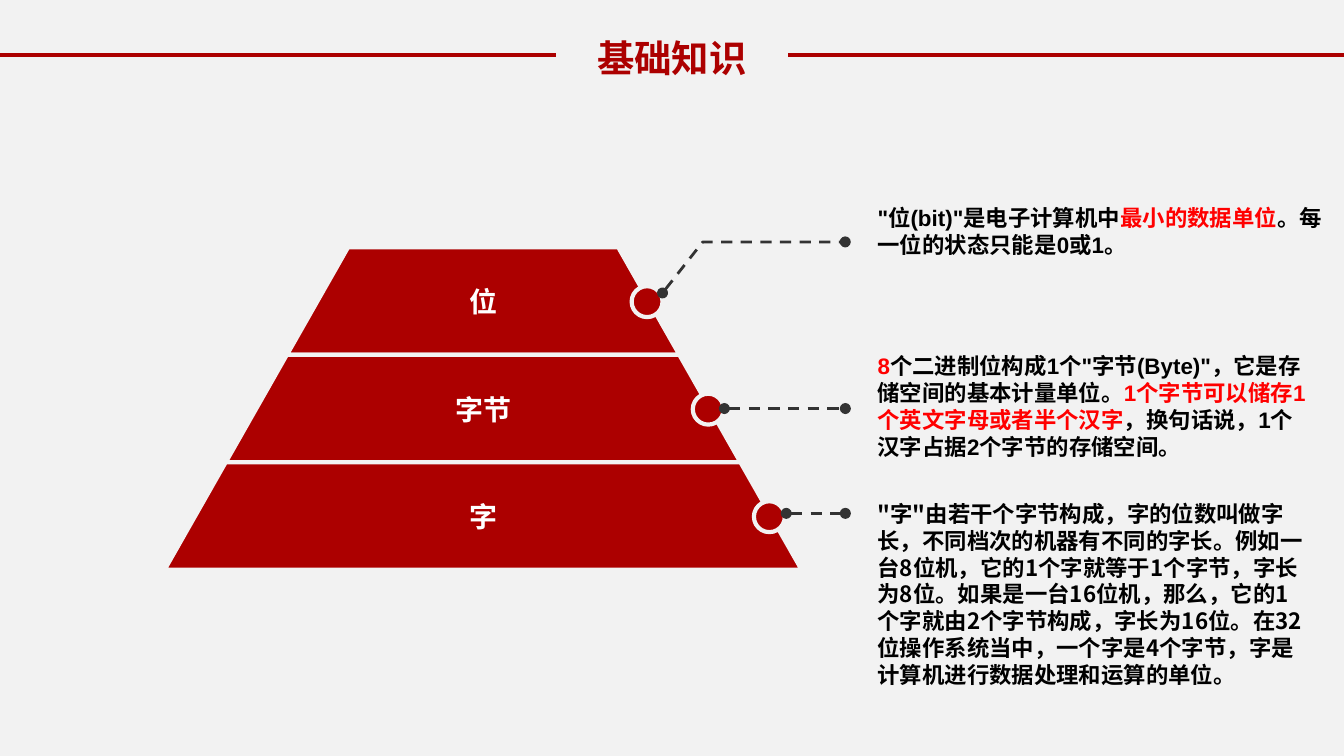
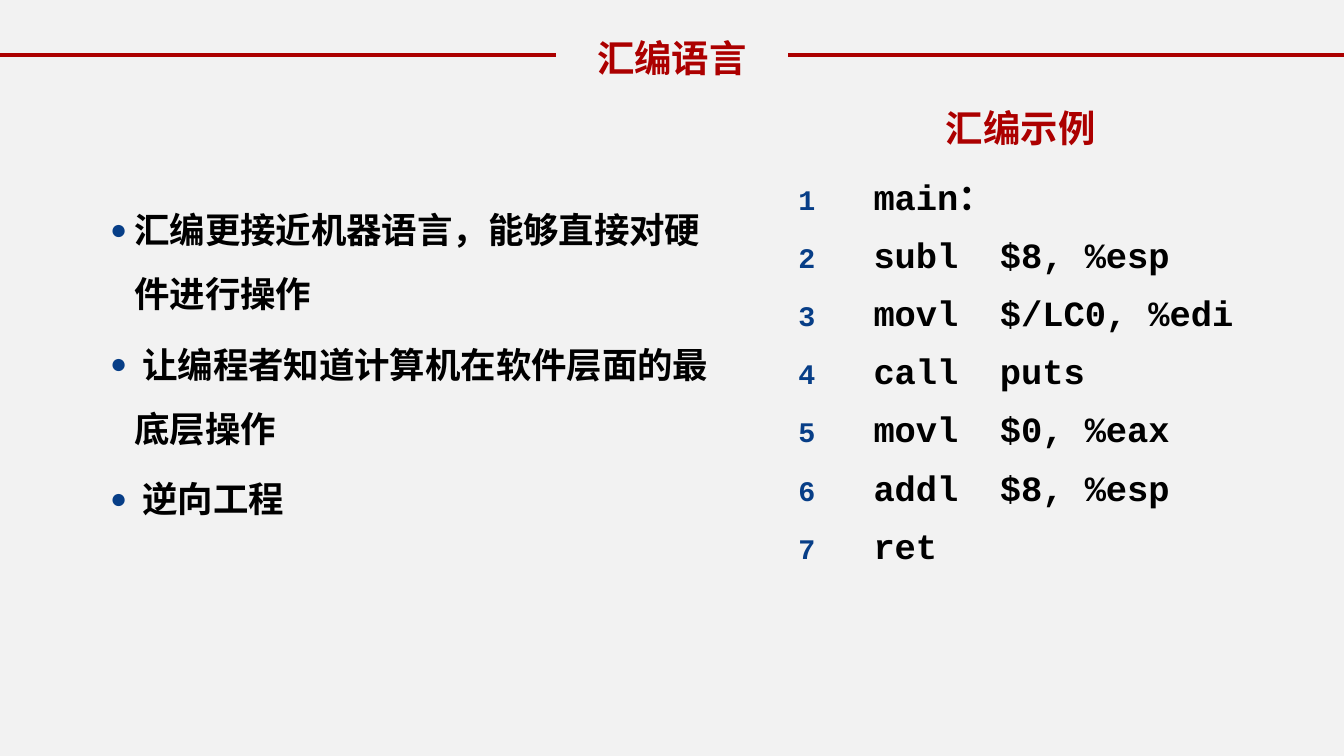
"""Build two slides on data units and assembly language."""
from lxml.etree import SubElement
from pptx import Presentation
from pptx.dml.color import RGBColor
from pptx.enum.dml import MSO_LINE
from pptx.enum.shapes import MSO_CONNECTOR, MSO_SHAPE
from pptx.enum.text import MSO_ANCHOR, MSO_AUTO_SIZE, PP_ALIGN
from pptx.oxml.ns import qn
from pptx.util import Inches, Pt

rgb = RGBColor.from_string
W = 10
H = W * 9 / 16
RED, PAPER, GREY, BLUE = "AC0000", "F2F2F2", "333333", "073E87"
BLACK, WHITE, ACCENT = "000000", "FFFFFF", "FF0000"
CJK = "Noto Sans CJK SC"
HEADING = dict(size=Pt(20), bold=True, name=CJK)
LABEL = dict(size=Pt(15), bold=True, name=CJK)
NOTE = dict(size=Pt(12), bold=True, name="Arial")
POINT = dict(size=Pt(19), bold=True, name="Roboto")
CODE = dict(POINT, name="Courier New")


def write(sp, at, paragraphs, font, ins=(0.1, 0.05), align=None, grow=True):
    for side, value in zip(("left", "top", "width", "height"), at):
        setattr(sp, side, Inches(value))
    tf = sp.text_frame
    frame = dict(word_wrap=True, vertical_anchor=MSO_ANCHOR.TOP,
                 auto_size=MSO_AUTO_SIZE.SHAPE_TO_FIT_TEXT if grow else MSO_AUTO_SIZE.NONE,
                 margin_left=Inches(ins[0]), margin_right=Inches(ins[0]),
                 margin_top=Inches(ins[1]), margin_bottom=Inches(ins[1]))
    for key, value in frame.items():
        setattr(tf, key, value)
    for i, runs in enumerate(paragraphs):
        p = tf.add_paragraph() if i else tf.paragraphs[0]
        p.alignment = align
        p._p.get_or_add_pPr().set("hangingPunct", "0")
        for text, color in runs:
            r = p.add_run()
            r.text = text
            r.font.color.rgb = rgb(color)
            for key, value in font.items():
                setattr(r.font, key, value)
            SubElement(r.font._element, qn("a:ea"), typeface=CJK)
    return tf


def stroke(sp, color, width, leader=False):
    sp.line.color.rgb = rgb(color)
    sp.line.width = Pt(width)
    if leader:
        sp.line.dash_style = MSO_LINE.DASH
        for end in ("a:headEnd", "a:tailEnd"):
            SubElement(sp.line._ln, qn(end), type="oval")
    SubElement(sp._element.spPr, qn("a:effectLst"))


prs = Presentation()
prs.slide_width, prs.slide_height = Inches(W), Inches(H)

title_w = 0.173 * W
title_x = (W - title_w) / 2
for title in ("基础知识", "汇编语言"):
    s = prs.slides.add_slide(prs.slide_layouts[5])
    s.background.fill.solid()
    s.background.fill.fore_color.rgb = rgb(PAPER)
    for x in (0, W - title_x):
        rule = s.shapes.add_connector(MSO_CONNECTOR.STRAIGHT, Inches(x), Inches(0.41),
                                      Inches(x + title_x), Inches(0.41))
        stroke(rule, RED, 2)
    write(s.shapes.title, (title_x, 0.21, title_w, 0.44), [[(title, RED)]],
          HEADING, align=PP_ALIGN.CENTER)
units, assembly = prs.slides

top, row, step = 1.84, 0.8, 0.455
left, right = 2.59, 4.6
label_w = 2.35
for i, unit in enumerate(("位", "字节", "字")):
    y, x1, x2 = top + i * row, left - i * step, right + i * step
    corners = [(x1, y), (x2, y), (x2 + step, y + row), (x1 - step, y + row)]
    points = [(Inches(x), Inches(v)) for x, v in corners]
    fb = units.shapes.build_freeform(*points[0], scale=1)
    fb.add_line_segments(points[1:], close=True)
    layer = fb.convert_to_shape()
    knob = units.shapes.add_shape(MSO_SHAPE.OVAL, Inches(x2 + 0.1), Inches(y + 0.29),
                                  Inches(0.23), Inches(0.23))
    for sp in (layer, knob):
        sp.fill.solid()
        sp.fill.fore_color.rgb = rgb(RED)
        stroke(sp, PAPER, 2.25)
    write(units.shapes.add_textbox(0, 0, 0, 0),
          ((left + right - label_w) / 2, y + 0.25, label_w, 0.3),
          [[(unit, WHITE)]], LABEL, (0.05, 0.03), PP_ALIGN.CENTER)

leader_x, note_x = 6.29, 6.46
bend = [(Inches(x), Inches(y)) for x, y in ((4.93, 2.18), (5.23, 1.8), (leader_x, 1.8))]
fb = units.shapes.build_freeform(*bend[0], scale=1)
fb.add_line_segments(bend[1:], close=False)
sp = fb.convert_to_shape()
sp.fill.background()
stroke(sp, GREY, 1.5, leader=True)
for x, y in ((5.39, 3.04), (5.85, 3.82)):
    sp = units.shapes.add_connector(MSO_CONNECTOR.STRAIGHT, Inches(x), Inches(y),
                                    Inches(leader_x), Inches(y))
    stroke(sp, GREY, 1.5, leader=True)

notes = [
    (1.48, 3.5, 0.48, NOTE, [
        ('"位(bit)"是电子计算机中', BLACK), ("最小的数据单位", ACCENT),
        ("。每一位的状态只能是0或1。", BLACK)]),
    (2.58, 3.34, 0.88, NOTE, [
        ("8", ACCENT),
        ('个二进制位构成1个"字节(Byte)"，它是存储空间的基本计量单位。', BLACK),
        ("1个字节可以储存1个英文字母或者半个汉字", ACCENT),
        ("，换句话说，1个汉字占据2个字节的存储空间。", BLACK)]),
    (3.68, 3.34, 1.49, dict(NOTE, name=CJK), [
        ('"字"由若干个字节构成，字的位数叫做字长，不同档次的机器有不同的字长。'
         "例如一台8位机，它的1个字就等于1个字节，字长为8位。"
         "如果是一台16位机，那么，它的1个字就由2个字节构成，字长为16位。"
         "在32位操作系统当中，一个字是4个字节，字是计算机进行数据处理和运算的单位。", BLACK)]),
]
for y, w, h, font, runs in notes:
    write(units.shapes.add_textbox(0, 0, 0, 0), (note_x, y, w, h), [runs], font, (0.07, 0.04))

write(assembly.shapes.add_textbox(0, 0, 0, 0), (6.73, 0.73, title_w, 0.44),
      [[("汇编示例", RED)]], HEADING, align=PP_ALIGN.CENTER)
code = ["main：", "subl\t$8, %esp", "movl\t$/LC0, %edi", "call\tputs",
        "movl\t$0, %eax", "addl\t$8, %esp", "ret"]
points = ["汇编更接近机器语言，能够直接对硬件进行操作",
          " 让编程者知道计算机在软件层面的最底层操作", " 逆向工程"]
lists = [
    ((5.87, 1.2, 3.86, 3.33), code, CODE, 0.56, 1.2,
     "Courier New", "a:buAutoNum", dict(type="arabicPlain")),
    ((0.75, 1.35, 4.76, 3.18), points, POINT, 0.18, 1.5,
     "Arial", "a:buChar", dict(char="●")),
]
for at, items, font, indent, spacing, face, mark, kind in lists:
    tf = write(assembly.shapes.add_textbox(0, 0, 0, 0), at, [[(t, BLACK)] for t in items],
               font, (0.07, 0.04), grow=False)
    for p in tf.paragraphs:
        p.line_spacing = spacing
        pPr = p._p.get_or_add_pPr()
        pPr.set("marL", str(Inches(indent)))
        pPr.set("indent", str(-Inches(indent)))
        SubElement(SubElement(pPr, qn("a:spcBef")), qn("a:spcPct"), val="20000")
        SubElement(SubElement(pPr, qn("a:buClr")), qn("a:srgbClr"), val=BLUE)
        SubElement(pPr, qn("a:buSzPct"), val="80000")
        SubElement(pPr, qn("a:buFont"), typeface=face)
        SubElement(pPr, qn(mark), **kind)

prs.save("out.pptx")
